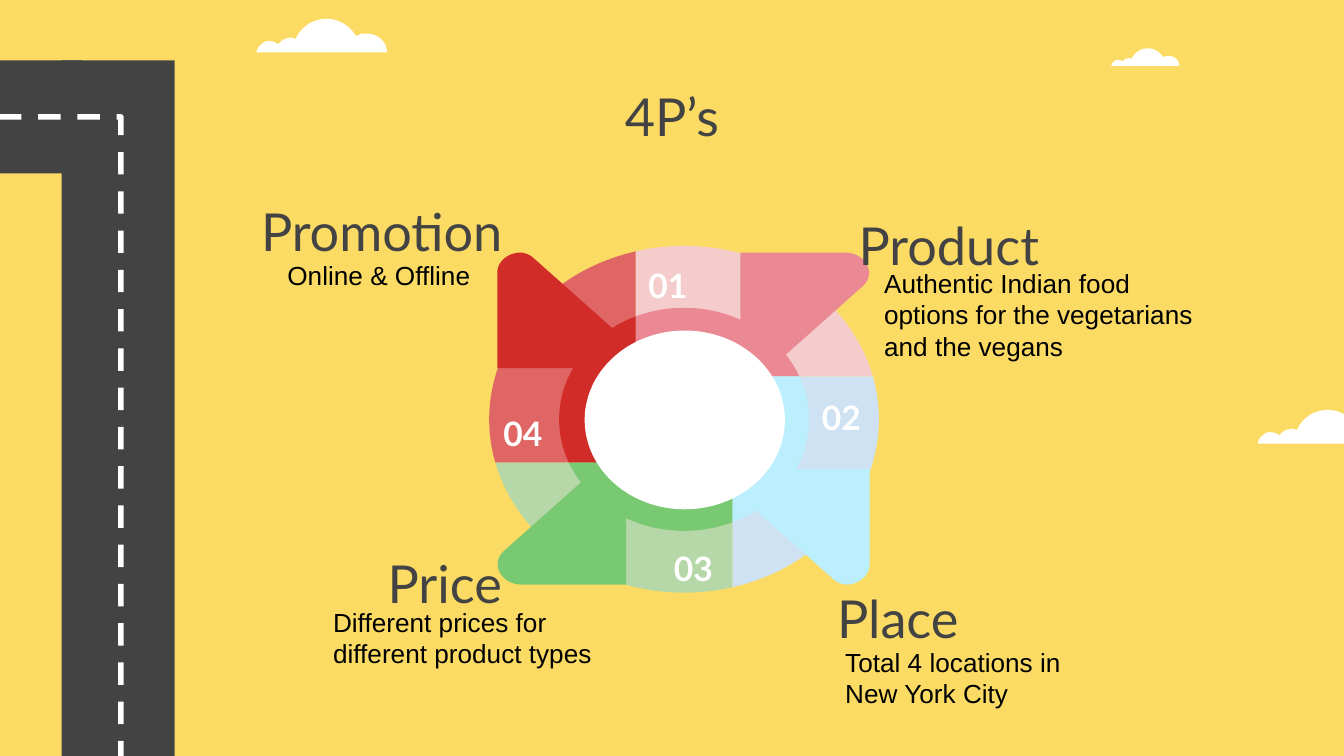
from math import acos, asin, cos, pi, sin

from pptx import Presentation
from pptx.dml.color import RGBColor
from pptx.enum.dml import MSO_LINE
from pptx.enum.shapes import MSO_SHAPE
from pptx.enum.text import MSO_ANCHOR, MSO_AUTO_SIZE, PP_ALIGN
from pptx.util import Inches, Pt

YELLOW = RGBColor(0xFB, 0xDB, 0x64)
WHITE = RGBColor(0xFF, 0xFF, 0xFF)
BLACK = RGBColor(0x00, 0x00, 0x00)
GREY = RGBColor(0x43, 0x43, 0x43)
RED = RGBColor(0xD1, 0x2C, 0x28)
PINK = RGBColor(0xEA, 0x88, 0x94)
CYAN = RGBColor(0xBC, 0xEF, 0xFD)
GREEN = RGBColor(0x79, 0xC9, 0x73)
PALE_RED = RGBColor(0xE0, 0x66, 0x66)
PALE_PINK = RGBColor(0xF4, 0xCC, 0xCC)
PALE_BLUE = RGBColor(0xCF, 0xE2, 0xF3)
PALE_GREEN = RGBColor(0xB6, 0xD7, 0xA8)

HEAD = {"size": Pt(28), "name": "Lato"}
NOTE = {"size": Pt(14), "name": "Arial"}
DIGIT = {"size": Pt(18), "name": "Lato", "bold": True}

# Wheel centre, and how far the seams lie from it
MID_X, MID_Y = 5.09, 3.12
SEAM_X, SEAM_Y = 0.36, 0.32

# Outlines: a pair is a line to a point, six numbers are a Bezier curve
CLOUD = [(0.52, 0), (0.42, 0, 0.33, 0.06, 0.29, 0.15),
         (0.28, 0.15, 0.27, 0.14, 0.26, 0.14),
         (0.22, 0.14, 0.18, 0.16, 0.16, 0.19),
         (0.14, 0.17, 0.1, 0.16, 0.06, 0.17),
         (0.03, 0.19, 0, 0.22, 0, 0.25), (0.97, 0.25),
         (0.97, 0.17, 0.9, 0.11, 0.82, 0.11),
         (0.79, 0.11, 0.77, 0.11, 0.74, 0.13),
         (0.7, 0.06, 0.62, 0, 0.52, 0)]
LEFT_TIP = [(3.87, 1.88), (3.79, 1.88, 3.7, 1.94, 3.7, 2.03), (3.7, 2.74),
            (4.89, 2.74), (3.98, 1.93), (3.95, 1.9, 3.91, 1.88, 3.87, 1.88)]
RIGHT_TIP = [(5.51, 1.88), (5.51, 2.94), (6.42, 2.13),
             (6.52, 2.04, 6.45, 1.89, 6.3, 1.88)]


def trace(path, steps=12):
    """Turn lines and Bezier curves into a list of points."""
    points = []
    for part in path:
        if len(part) == 2:
            points.append(part)
            continue
        ends = [points[-1], part[:2], part[2:4], part[4:]]
        for step in range(1, steps + 1):
            t = step / steps
            s = 1 - t
            mix = (s ** 3, 3 * s * s * t, 3 * s * t * t, t ** 3)
            points.append(tuple(sum(m * p[axis] for m, p in zip(mix, ends))
                                for axis in (0, 1)))
    return points


def paint(shape, fill):
    shape.shadow.inherit = False
    shape.fill.solid()
    shape.fill.fore_color.rgb = fill
    shape.line.fill.background()


def add_form(slide, points, fill=None, close=True):
    pts = [(Inches(x), Inches(y)) for x, y in points]
    build = slide.shapes.build_freeform(*pts[0])
    build.add_line_segments(pts[1:], close=close)
    shape = build.convert_to_shape()
    if fill is not None:
        paint(shape, fill)
    return shape


def add_block(slide, kind, box, fill):
    paint(slide.shapes.add_shape(kind, *map(Inches, box)), fill)


def add_cloud(slide, left, top, scale):
    points = [(left + x * scale, top + y * scale) for x, y in trace(CLOUD)]
    add_form(slide, points, WHITE)


def add_road(slide):
    for box in ((-0.05, 0.45, 0.66, 0.84), (0.46, 0.45, 0.84, 5.26)):
        add_block(slide, MSO_SHAPE.RECTANGLE, box, GREY)
    lane = add_form(slide, [(0.9, 5.68), (0.9, 0.87), (-0.08, 0.87),
                            (-0.24, 0.91)], close=False)
    lane.shadow.inherit = False
    lane.fill.background()
    lane.line.color.rgb = WHITE
    lane.line.width = Pt(3)
    lane.line.dash_style = MSO_LINE.DASH


def add_ring(slide, rad_x, rad_y, fills):
    """Four pinwheel parts, clockwise from the top."""
    side, rise = acos(SEAM_X / rad_x), asin(SEAM_Y / rad_y)
    marks = [side - pi, -rise, side, pi - rise, pi + side]
    signs = [(-1, -1), (1, -1), (1, 1), (-1, 1)]
    for fill, first, last, sign in zip(fills, marks, marks[1:], signs):
        # Each part runs from its seam corner along an arc
        points = [(MID_X + sign[0] * SEAM_X, MID_Y + sign[1] * SEAM_Y)]
        for step in range(31):
            turn = first + (last - first) * step / 30
            points.append((MID_X + rad_x * cos(turn),
                           MID_Y + rad_y * sin(turn)))
        add_form(slide, points, fill)


def add_tips(slide):
    """The lower arrows are the upper ones after a half turn."""
    for path, upper, lower in ((LEFT_TIP, RED, CYAN),
                               (RIGHT_TIP, PINK, GREEN)):
        points = trace(path)
        add_form(slide, points, upper)
        add_form(slide, [(2 * MID_X - 0.01 - x, 2 * MID_Y - 0.01 - y)
                         for x, y in points], lower)


def set_text(shape, text, style, tint, align=PP_ALIGN.CENTER, inset=0.1,
             anchor=MSO_ANCHOR.TOP):
    frame = shape.text_frame
    pad = Inches(inset)
    form = {"word_wrap": True, "auto_size": MSO_AUTO_SIZE.NONE,
            "vertical_anchor": anchor, "margin_left": pad,
            "margin_right": pad, "margin_top": pad, "margin_bottom": pad}
    for key, value in form.items():
        setattr(frame, key, value)
    frame.text = text
    para = frame.paragraphs[0]
    para.alignment = align
    font = para.runs[0].font
    for key, value in style.items():
        setattr(font, key, value)
    font.color.rgb = tint


def add_text(slide, box, *args, **form):
    set_text(slide.shapes.add_textbox(*map(Inches, box)), *args, **form)


def main():
    deck = Presentation()
    deck.slide_width = Inches(10)
    deck.slide_height = deck.slide_width * 9 // 16
    slide = deck.slides.add_slide(deck.slide_layouts[5])
    slide.background.fill.solid()
    slide.background.fill.fore_color.rgb = YELLOW

    # Scenery
    for cloud in ((1.91, 0.14, 1), (9.36, 3.05, 1), (8.27, 0.36, 0.52)):
        add_cloud(slide, *cloud)
    add_road(slide)

    # Title
    title = slide.shapes.title
    title.left, title.top = Inches(2.35), Inches(0.53)
    title.width, title.height = Inches(5.3), Inches(0.63)
    set_text(title, "4P’s", HEAD, GREY)

    # Wheel
    add_ring(slide, 1.45, 1.29, (PALE_PINK, PALE_BLUE, PALE_GREEN, PALE_RED))
    add_ring(slide, 0.93, 0.83, (PINK, CYAN, GREEN, RED))
    add_tips(slide)
    add_block(slide, MSO_SHAPE.OVAL, (4.35, 2.46, 1.49, 1.33), WHITE)
    spots = ((4.97, 2.12), (6.26, 3.1), (5.16, 4.23), (3.89, 3.22))
    for i, (x, y) in enumerate(spots, 1):
        add_text(slide, (x - 0.25, y - 0.15, 0.5, 0.3), f"{i:02}", DIGIT,
                 WHITE, inset=0, anchor=MSO_ANCHOR.MIDDLE)

    # Headings and notes
    for text, left, top, note, box in (
            ("Promotion", 0.19, 1.38, "Online & Offline",
             (2.04, 1.83, 1.6, 0.44)),
            ("Price", 0.66, 4, "Different prices for different product types",
             (2.38, 4.41, 2.2, 0.67)),
            ("Place", 4.03, 4.26, "Total 4 locations in New York City",
             (6.19, 4.71, 1.92, 0.67)),
            ("Product", 4.41, 1.49, "Authentic Indian food options for the "
             "vegetarians and the vegans", (6.48, 1.89, 2.59, 0.91))):
        add_text(slide, (left, top, 5.3, 0.63), text, HEAD, GREY)
        add_text(slide, box, note, NOTE, BLACK, align=PP_ALIGN.LEFT)

    deck.save("out.pptx")


if __name__ == "__main__":
    main()
